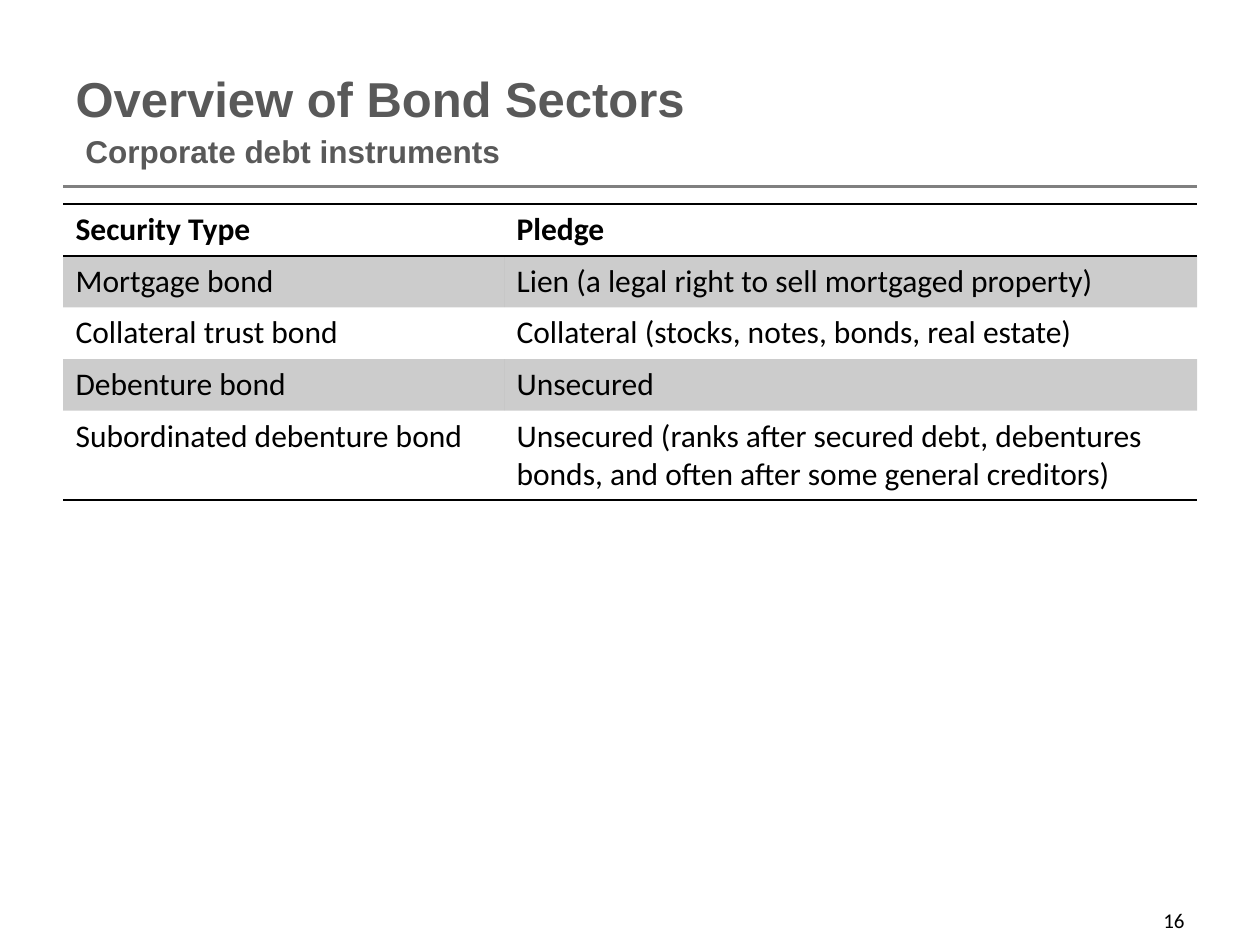
from typing import NamedTuple

from lxml.etree import SubElement
from pptx import Presentation
from pptx.dml.color import RGBColor
from pptx.enum.shapes import MSO_CONNECTOR as Link
from pptx.enum.text import MSO_ANCHOR as Anchor, MSO_AUTO_SIZE as Fit, PP_ALIGN as Align
from pptx.oxml import parse_xml
from pptx.oxml.ns import nsdecls, qn
from pptx.util import Inches, Pt

BLACK, GREY, RULE = "000000", "595959", "808080"
PLAIN = "{2D5ABB26-0587-4C30-8999-92F81FD0307C}"  # no style, no grid
LEFT, WIDTH = 0.5, 9
COLS = (3.5, 5.5)
ROW, LAST = 0.41, 0.7


class Bond(NamedTuple):
    kind: str
    pledge: str


HEAD = Bond("Security Type", "Pledge")
BONDS = [
    Bond("Mortgage bond", "Lien (a legal right to sell mortgaged property)"),
    Bond("Collateral trust bond", "Collateral (stocks, notes, bonds, real estate)"),
    Bond("Debenture bond", "Unsecured"),
    Bond("Subordinated debenture bond",
         "Unsecured (ranks after secured debt, debentures\n"
         "bonds, and often after some general creditors)"),
]


def rgb(color: str) -> RGBColor:
    return RGBColor.from_string(color)


def write(frame, text: str, size=18, font="Calibri", color=BLACK, bold=False,
          align=Align.LEFT, anchor=Anchor.TOP) -> None:
    frame.text = text
    frame.word_wrap = True
    frame.vertical_anchor = anchor
    for para in frame.paragraphs:
        para.alignment = align
        for run in para.runs:
            run.font.size, run.font.name, run.font.bold = Pt(size), font, bold
            run.font.color.rgb = rgb(color)


def place(shape, x: float, y: float, w: float, h: float) -> None:
    shape.left, shape.top = Inches(x), Inches(y)
    shape.width, shape.height = Inches(w), Inches(h)


def add_text(slide, x: float, y: float, w: float, h: float, text: str, **style) -> None:
    box = slide.shapes.add_textbox(Inches(x), Inches(y), Inches(w), Inches(h))
    write(box.text_frame, text, **style)


def add_rule(slide, y: float) -> None:
    line = slide.shapes.add_connector(
        Link.STRAIGHT, Inches(LEFT), Inches(y), Inches(LEFT + WIDTH), Inches(y))
    line.line.color.rgb = rgb(RULE)
    line.line.width = Pt(2.25)
    SubElement(line._element.spPr, qn("a:effectLst"))


def shade(cell, alpha: int) -> None:
    """Fill the cell with black at the given percentage of opacity."""
    cell.fill.solid()
    cell.fill.fore_color.rgb = rgb(BLACK)
    tint = cell._tc.tcPr.find(".//" + qn("a:srgbClr"))
    SubElement(tint, qn("a:alpha"), val=str(alpha * 1000))


def edge(cell, sides: str) -> None:
    """Draw borders on the sides named, T before B."""
    props = cell._tc.get_or_add_tcPr()
    for i, side in enumerate(sides):
        props.insert(i, parse_xml(
            f'<a:ln{side} {nsdecls("a")} w="{Pt(1)}"><a:solidFill>'
            f'<a:srgbClr val="{BLACK}"/></a:solidFill></a:ln{side}>'))


def add_bonds(slide, y: float) -> None:
    rows = [HEAD, *BONDS]
    end = len(rows) - 1
    high = ROW * end + LAST
    table = slide.shapes.add_table(
        len(rows), len(COLS), Inches(LEFT), Inches(y), Inches(WIDTH), Inches(high)).table
    table._tbl.tblPr.find(qn("a:tableStyleId")).text = PLAIN
    table.horz_banding = False
    for col, wide in zip(table.columns, COLS):
        col.width = Inches(wide)
    for r, bond in enumerate(rows):
        table.rows[r].height = Inches(LAST if r == end else ROW)
        for c, text in enumerate(bond):
            cell = table.cell(r, c)
            write(cell.text_frame, text, bold=r == 0)
            if r % 2:
                shade(cell, 20)
            else:
                cell.fill.background()
            edge(cell, {0: "TB", end: "B"}.get(r, ""))


def main() -> None:
    deck = Presentation()
    deck.slide_width, deck.slide_height = Inches(10), Inches(7.5)
    slide = deck.slides.add_slide(deck.slide_layouts[5])

    add_rule(slide, 1.48)
    title = slide.shapes.title
    place(title, LEFT, 0.48, WIDTH, 0.58)
    write(title.text_frame, "Overview of Bond Sectors", size=28, font="Arial",
          color=GREY, bold=True, anchor=Anchor.BOTTOM)
    title.text_frame.auto_size = Fit.NONE
    add_bonds(slide, 1.62)
    add_text(slide, 7.17, 7.1, 2.33, 0.4, "16", size=12,
             align=Align.RIGHT, anchor=Anchor.MIDDLE)
    add_text(slide, 0.58, 1, 8.83, 0.4, "Corporate debt instruments",
             font="Arial", color=GREY, bold=True)
    deck.save("out.pptx")


if __name__ == "__main__":
    main()
